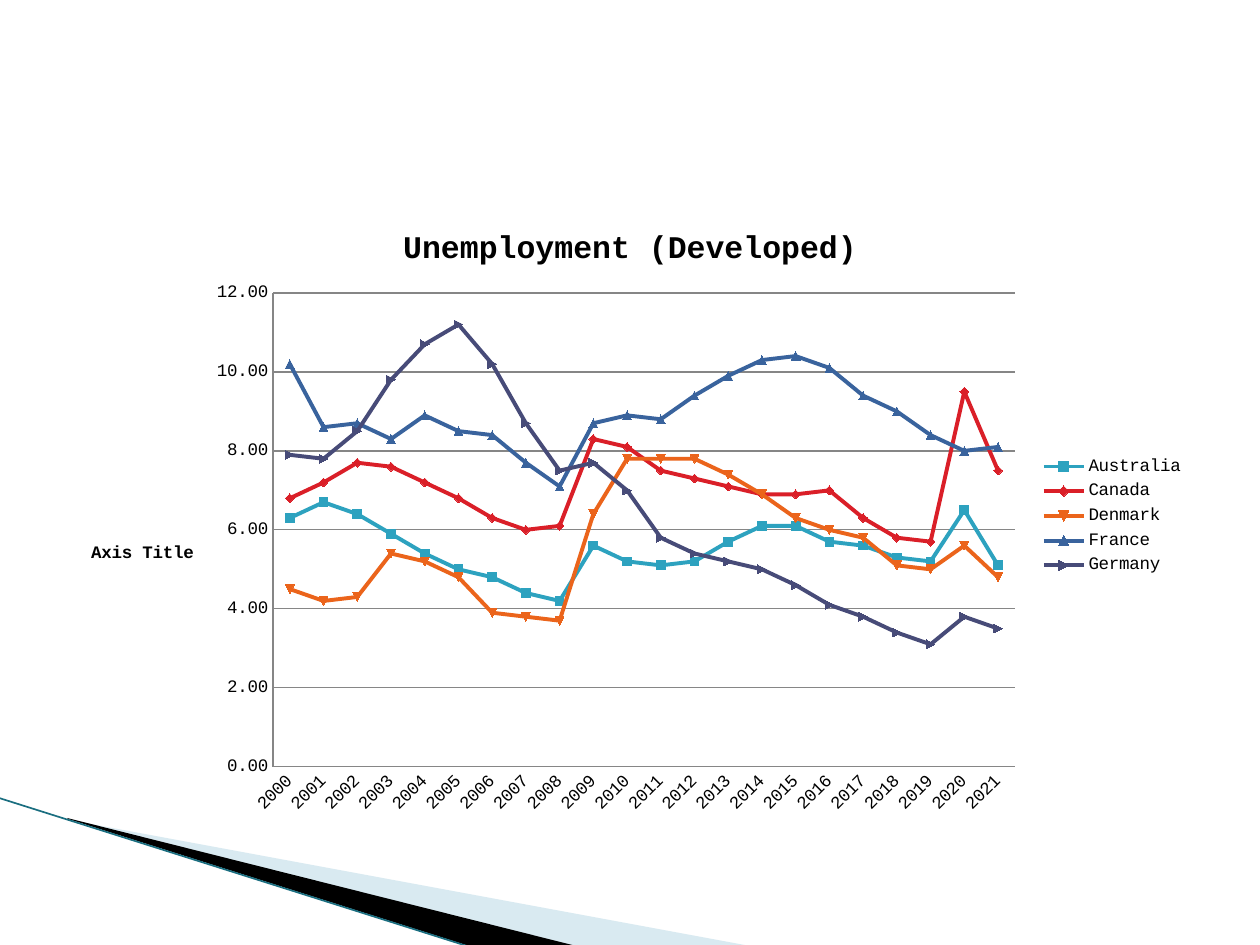
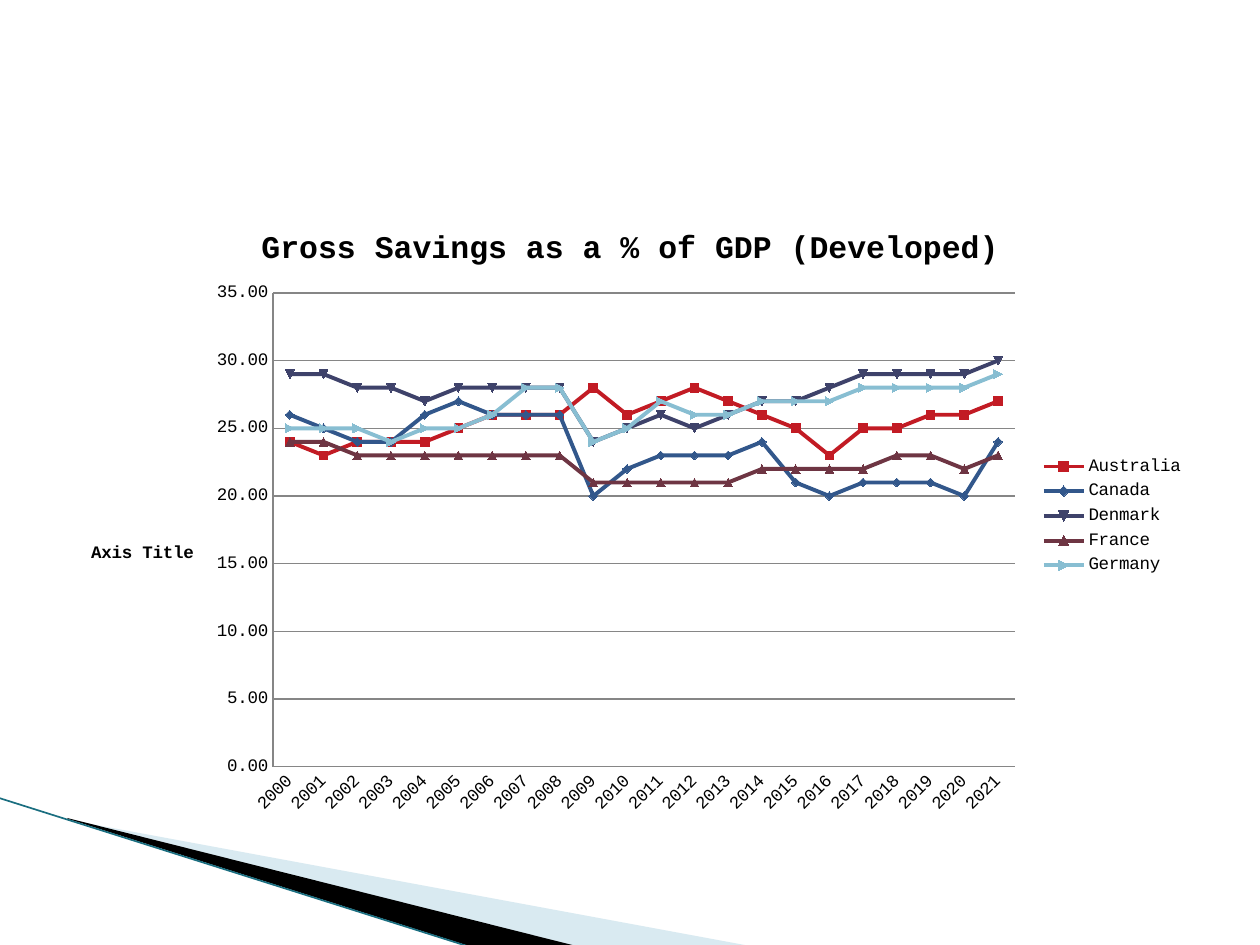
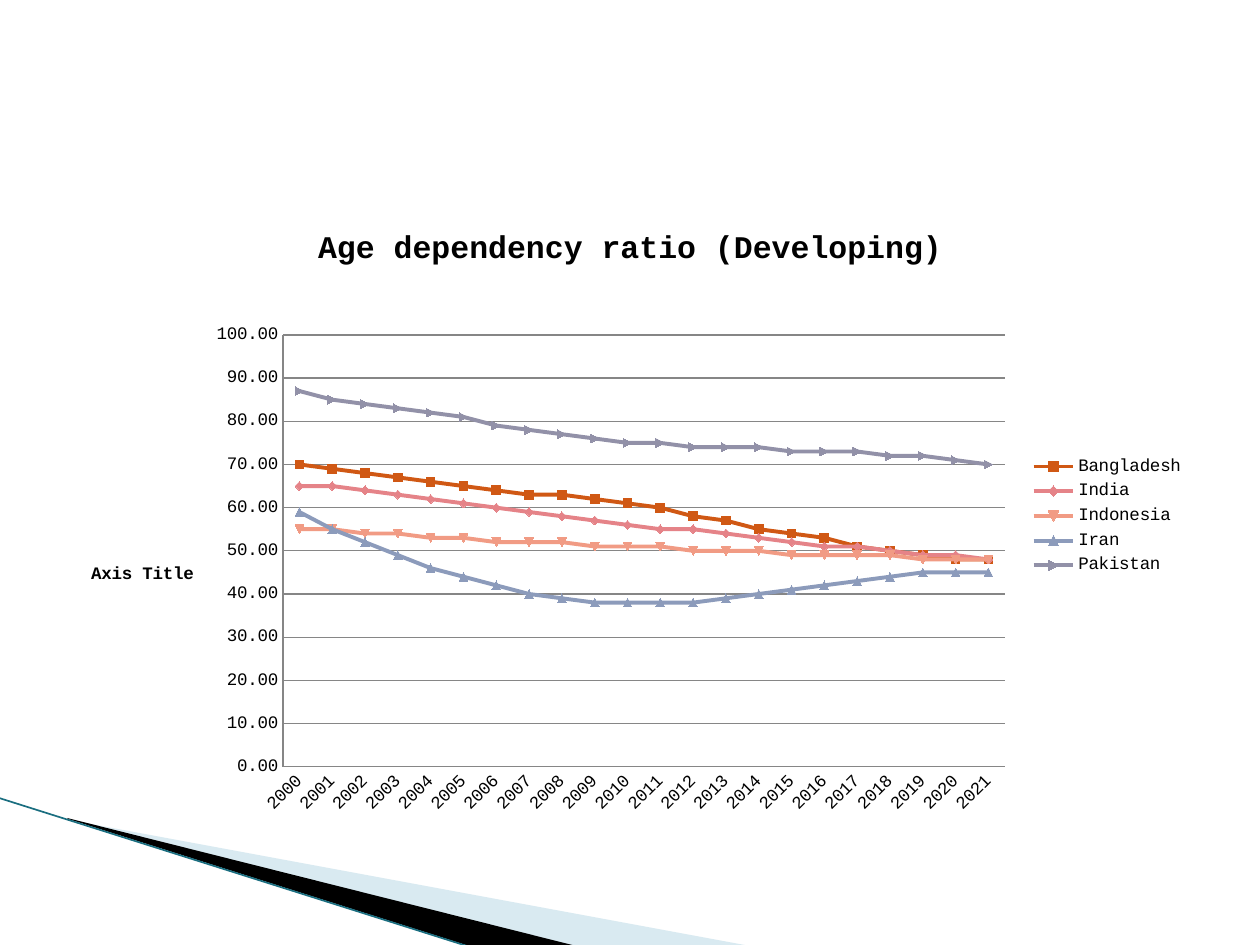
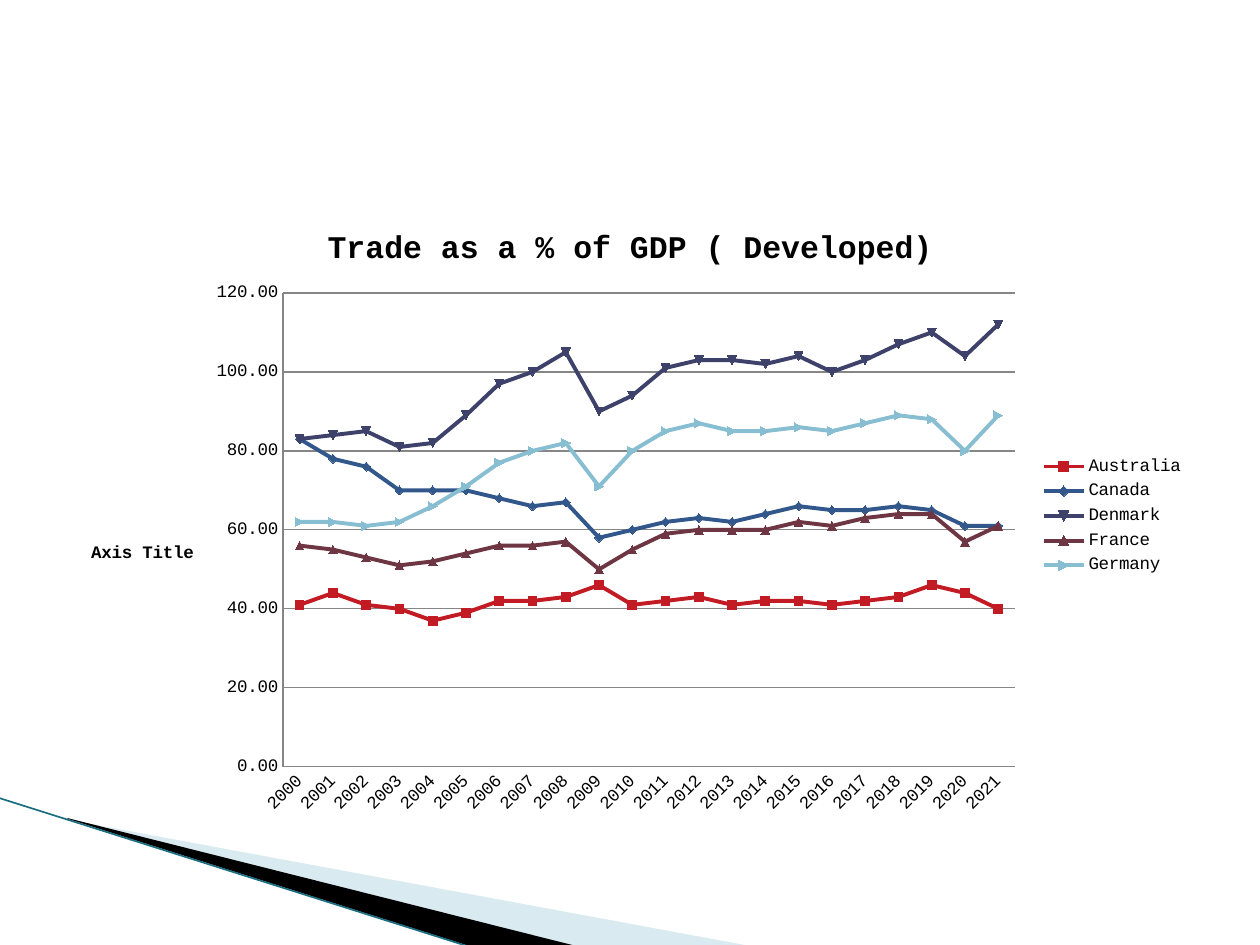
from lxml import etree
from pptx import Presentation
from pptx.chart.data import CategoryChartData as ChartData
from pptx.dml.color import RGBColor
from pptx.enum.chart import XL_CHART_TYPE as ChartType
from pptx.enum.chart import XL_LEGEND_POSITION as LegendPosition
from pptx.enum.chart import XL_TICK_MARK as TickMark
from pptx.enum.shapes import MSO_CONNECTOR as Connector
from pptx.oxml import parse_xml
from pptx.oxml.ns import nsdecls, qn
from pptx.util import Pt

PX = 914400 / 126
FONT = "Courier New"
YEARS = [str(year) for year in range(2000, 2022)]
FRAME = (63, 204, 1134, 624)
AXIS_TITLE_AT = (88, 539)
COLORS = {
    "text": "000000",
    "grid": "868686",
    "pale": "A0CBDC",
    "dark": "000000",
    "edge": "1A6E80",
}
ACCENTS = ["2DA2BF", "DA1F28", "EB641B", "39639D", "474B78"]
SHADES = ["C21B24", "32578B", "3E426A", "6E3543", "88BED2"]
TINTS = ["D05814", "E58388", "F19B84", "8C9BBB", "9291A8"]

UNEMPLOYMENT = {
    "Australia": [6.3, 6.7, 6.4, 5.9, 5.4, 5, 4.8, 4.4, 4.2, 5.6, 5.2,
                  5.1, 5.2, 5.7, 6.1, 6.1, 5.7, 5.6, 5.3, 5.2, 6.5, 5.1],
    "Canada": [6.8, 7.2, 7.7, 7.6, 7.2, 6.8, 6.3, 6, 6.1, 8.3, 8.1,
               7.5, 7.3, 7.1, 6.9, 6.9, 7, 6.3, 5.8, 5.7, 9.5, 7.5],
    "Denmark": [4.5, 4.2, 4.3, 5.4, 5.2, 4.8, 3.9, 3.8, 3.7, 6.4, 7.8,
                7.8, 7.8, 7.4, 6.9, 6.3, 6, 5.8, 5.1, 5, 5.6, 4.8],
    "France": [10.2, 8.6, 8.7, 8.3, 8.9, 8.5, 8.4, 7.7, 7.1, 8.7, 8.9,
               8.8, 9.4, 9.9, 10.3, 10.4, 10.1, 9.4, 9, 8.4, 8, 8.1],
    "Germany": [7.9, 7.8, 8.5, 9.8, 10.7, 11.2, 10.2, 8.7, 7.5, 7.7, 7,
                5.8, 5.4, 5.2, 5, 4.6, 4.1, 3.8, 3.4, 3.1, 3.8, 3.5],
}
SAVINGS = {
    "Australia": [24, 23, 24, 24, 24, 25, 26, 26, 26, 28, 26,
                  27, 28, 27, 26, 25, 23, 25, 25, 26, 26, 27],
    "Canada": [26, 25, 24, 24, 26, 27, 26, 26, 26, 20, 22,
               23, 23, 23, 24, 21, 20, 21, 21, 21, 20, 24],
    "Denmark": [29, 29, 28, 28, 27, 28, 28, 28, 28, 24, 25,
                26, 25, 26, 27, 27, 28, 29, 29, 29, 29, 30],
    "France": [24, 24, 23, 23, 23, 23, 23, 23, 23, 21, 21,
               21, 21, 21, 22, 22, 22, 22, 23, 23, 22, 23],
    "Germany": [25, 25, 25, 24, 25, 25, 26, 28, 28, 24, 25,
                27, 26, 26, 27, 27, 27, 28, 28, 28, 28, 29],
}
DEPENDENCY = {
    "Bangladesh": [70, 69, 68, 67, 66, 65, 64, 63, 63, 62, 61,
                   60, 58, 57, 55, 54, 53, 51, 50, 49, 48, 48],
    "India": [65, 65, 64, 63, 62, 61, 60, 59, 58, 57, 56,
              55, 55, 54, 53, 52, 51, 51, 50, 49, 49, 48],
    "Indonesia": [55, 55, 54, 54, 53, 53, 52, 52, 52, 51, 51,
                  51, 50, 50, 50, 49, 49, 49, 49, 48, 48, 48],
    "Iran": [59, 55, 52, 49, 46, 44, 42, 40, 39, 38, 38,
             38, 38, 39, 40, 41, 42, 43, 44, 45, 45, 45],
    "Pakistan": [87, 85, 84, 83, 82, 81, 79, 78, 77, 76, 75,
                 75, 74, 74, 74, 73, 73, 73, 72, 72, 71, 70],
}
TRADE = {
    "Australia": [41, 44, 41, 40, 37, 39, 42, 42, 43, 46, 41,
                  42, 43, 41, 42, 42, 41, 42, 43, 46, 44, 40],
    "Canada": [83, 78, 76, 70, 70, 70, 68, 66, 67, 58, 60,
               62, 63, 62, 64, 66, 65, 65, 66, 65, 61, 61],
    "Denmark": [83, 84, 85, 81, 82, 89, 97, 100, 105, 90, 94,
                101, 103, 103, 102, 104, 100, 103, 107, 110, 104, 112],
    "France": [56, 55, 53, 51, 52, 54, 56, 56, 57, 50, 55,
               59, 60, 60, 60, 62, 61, 63, 64, 64, 57, 61],
    "Germany": [62, 62, 61, 62, 66, 71, 77, 80, 82, 71, 80,
                85, 87, 85, 85, 86, 85, 87, 89, 88, 80, 89],
}


def px(length):
    return round(length * PX)


def rgb(name):
    return RGBColor.from_string(COLORS.get(name, name))


def add_band(page, points, color, opacity=100):
    builder = page.shapes.build_freeform(*points[0], scale=PX)
    builder.add_line_segments(points[1:], close=True)
    band = builder.convert_to_shape()
    band.shadow.inherit = False
    band.fill.solid()
    band.fill.fore_color.rgb = rgb(color)
    band.line.fill.background()
    if opacity < 100:
        tone = band.element.find(".//" + qn("a:srgbClr"))
        etree.SubElement(tone, qn("a:alpha")).set("val", str(opacity * 1000))
    return band


def add_edge(page, start, end):
    ends = [px(length) for length in (*start, *end)]
    edge = page.shapes.add_connector(Connector.STRAIGHT, *ends)
    edge.line.color.rgb = rgb("edge")
    edge.line.width = Pt(0.95)
    etree.SubElement(edge.element.spPr, qn("a:effectLst"))
    return edge


def move_bands_to_layout(page):
    layout = page.slide_layout
    for holder in list(layout.placeholders):
        holder.element.getparent().remove(holder.element)
    bands = [
        add_band(page, [(69, 820), (750, 946), (575, 946), (69, 819)], "pale", 40),
        add_band(page, [(67, 818), (576, 946), (469, 946), (68, 819)], "dark"),
        add_edge(page, (-1, 798), (467, 946)),
    ]
    tree = layout.element.find(".//" + qn("p:spTree"))
    for band in bands:
        tree.append(band.element)


def place(parent, index, left, top, size=None):
    for old in parent.findall(qn("c:layout")):
        parent.remove(old)
    frame_left, frame_top, width, height = FRAME
    settings = [("xMode", "edge"), ("yMode", "edge"),
                ("x", round((left - frame_left) / width, 4)),
                ("y", round((top - frame_top) / height, 4))]
    if size:
        settings.insert(0, ("layoutTarget", "inner"))
        settings += [("w", round(size[0] / width, 4)),
                     ("h", round(size[1] / height, 4))]
    layout = parse_xml(f"<c:layout {nsdecls('c')}><c:manualLayout/></c:layout>")
    for tag, value in settings:
        etree.SubElement(layout[0], qn("c:" + tag)).set("val", str(value))
    parent.insert(index, layout)


def write_title(title, text, size):
    span = title.text_frame.paragraphs[0].add_run()
    span.text = text
    span.font.name = FONT
    span.font.size = Pt(size)
    span.font.bold = True
    span.font.color.rgb = rgb("text")


def style_axis(axis):
    axis.major_tick_mark = TickMark.NONE
    axis.minor_tick_mark = TickMark.NONE
    axis.format.line.color.rgb = rgb("grid")
    axis.format.line.width = Pt(0.75)
    axis.tick_labels.font.size = Pt(10)


def add_line_chart(page, title, values, palette, top_value, step, plot):
    data = ChartData(number_format="0.00")
    data.categories = YEARS
    for country, numbers in values.items():
        data.add_series(country, numbers)
    frame = [px(length) for length in FRAME]
    chart = page.shapes.add_chart(ChartType.LINE, *frame, data).chart
    chart.font.name = FONT
    chart.font.size = Pt(10)
    chart.font.color.rgb = rgb("text")
    chart.has_title = True
    write_title(chart.chart_title, title, 18)
    chart.has_legend = True
    chart.legend.position = LegendPosition.RIGHT
    chart.legend.include_in_layout = False
    chart.plots[0].vary_by_categories = False
    for series, color in zip(chart.plots[0].series, palette):
        series.smooth = False
        series.marker.style = None
        series.format.line.color.rgb = rgb(color)
        series.format.line.width = Pt(2.25)

    years, scale = chart.category_axis, chart.value_axis
    style_axis(years)
    style_axis(scale)
    scale.minimum_scale, scale.maximum_scale = 0, top_value
    scale.major_unit = step
    scale.tick_labels.number_format = "0.00"
    scale.tick_labels.number_format_is_linked = False
    scale.has_major_gridlines = True
    scale.major_gridlines.format.line.color.rgb = rgb("grid")
    scale.major_gridlines.format.line.width = Pt(0.75)
    scale.has_title = True
    write_title(scale.axis_title, "Axis Title", 10)

    root = chart.element
    root.xpath(".//c:catAx/c:txPr/a:bodyPr")[0].set("rot", "-2700000")
    axis_title = root.xpath(".//c:valAx/c:title")[0]
    body = axis_title.find(".//" + qn("a:bodyPr"))
    body.set("rot", "0")
    body.set("vert", "horz")
    left, top, right, bottom = plot
    place(axis_title, 1, AXIS_TITLE_AT[0], AXIS_TITLE_AT[1] + (top - 293) // 2)
    place(root.xpath(".//c:plotArea")[0], 0, left, top, (right - left, bottom - top))


def main():
    deck = Presentation()
    deck.slide_width, deck.slide_height = px(1260), px(945)
    charts = [
        ("Unemployment (Developed)", UNEMPLOYMENT, ACCENTS, 12, 2,
         (273, 293, 1015, 767)),
        ("Gross Savings as a % of GDP (Developed)", SAVINGS, SHADES, 35, 5,
         (273, 293, 1015, 767)),
        ("Age dependency ratio (Developing)", DEPENDENCY, TINTS, 100, 10,
         (283, 335, 1005, 767)),
        ("Trade as a % of GDP ( Developed)", TRADE, SHADES, 120, 20,
         (283, 293, 1015, 767)),
    ]
    pages = [deck.slides.add_slide(deck.slide_layouts[6]) for _ in charts]
    move_bands_to_layout(pages[0])
    for page, chart in zip(pages, charts):
        add_line_chart(page, *chart)
    deck.save("out.pptx")


if __name__ == "__main__":
    main()
